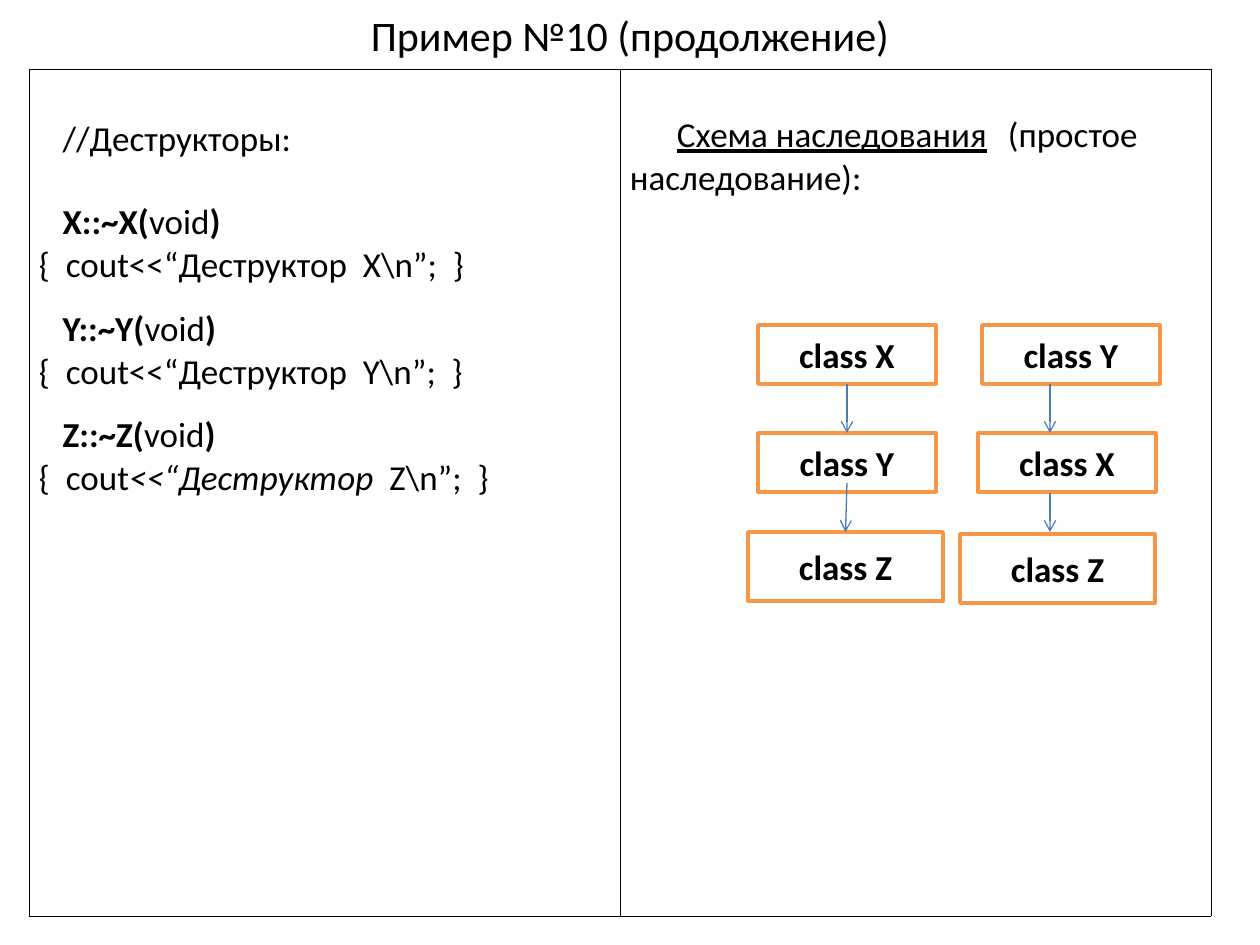
from lxml import etree
from pptx import Presentation
from pptx.dml.color import RGBColor
from pptx.enum.shapes import MSO_CONNECTOR, MSO_SHAPE
from pptx.enum.text import MSO_ANCHOR, PP_ALIGN
from pptx.oxml.ns import qn
from pptx.util import Pt

BLACK = RGBColor(0x00, 0x00, 0x00)
WHITE = RGBColor(0xFF, 0xFF, 0xFF)
ORANGE = RGBColor(0xF7, 0x96, 0x46)
BLUE = RGBColor(0x4A, 0x7E, 0xBB)
RECTANGLE = MSO_SHAPE.RECTANGLE
STRAIGHT = MSO_CONNECTOR.STRAIGHT
MIDDLE = MSO_ANCHOR.MIDDLE
CENTER, JUSTIFY, LEFT = PP_ALIGN.CENTER, PP_ALIGN.JUSTIFY, PP_ALIGN.LEFT
TOP_SIDE, BOTTOM_SIDE = 0, 2
EMU_PER_PX = 914400 / 126
BOLD, ITALIC, UNDERLINE = {"bold": True}, {"italic": True}, {"underline": True}


def px(length):
    return round(length * EMU_PER_PX)


def set_values(target, values):
    for name, value in values.items():
        setattr(target, name, value)


class SlideBuilder:
    font_name = "Calibri"
    text_size = 20
    title_size = 24

    def __init__(self, slide):
        self.slide = slide

    def fill_paragraph(self, paragraph, runs, size=text_size, **paragraph_format):
        """Fill a paragraph from (text, font values) pairs."""
        set_values(paragraph, paragraph_format)
        for text, font_values in runs:
            run = paragraph.add_run()
            run.text = text
            set_values(run.font, {"name": self.font_name, "size": Pt(size),
                                  "bold": False, **font_values})
            run.font.color.rgb = BLACK

    def title(self, text, left, top, width, height):
        shape = self.slide.shapes.title
        set_values(shape, {"left": px(left), "top": px(top),
                           "width": px(width), "height": px(height)})
        shape.text_frame.vertical_anchor = MIDDLE
        self.fill_paragraph(shape.text_frame.paragraphs[0], [(text, {})],
                            self.title_size, alignment=CENTER)

    def table(self, left, top, width, height, columns):
        """Add a one-row table and return its cells."""
        table = self.slide.shapes.add_table(
            1, columns, px(left), px(top), px(width), px(height)).table
        set_values(table, {"first_row": False, "horz_banding": False})
        cells = list(table.rows[0].cells)
        for cell in cells:
            self.cell_borders(cell)
            cell.fill.background()
            set_values(cell, {"margin_left": px(10), "margin_right": px(10)})
        return cells

    def cell_borders(self, cell):
        properties = cell._tc.get_or_add_tcPr()
        for side in ("a:lnL", "a:lnR", "a:lnT", "a:lnB"):
            line = etree.SubElement(properties, qn(side), w=str(Pt(0.45)))
            fill = etree.SubElement(line, qn("a:solidFill"))
            etree.SubElement(fill, qn("a:srgbClr"), val=str(BLACK))

    def code(self, cell, lines):
        """Put (space before in points, runs) lines into a cell."""
        frame = cell.text_frame
        for index, (space, runs) in enumerate(lines):
            paragraph = frame.add_paragraph() if index else frame.paragraphs[0]
            self.fill_paragraph(paragraph, runs, alignment=JUSTIFY,
                                space_before=Pt(space))

    def caption(self, cell, runs, indent, tab):
        paragraph = cell.text_frame.paragraphs[0]
        properties = paragraph._p.get_or_add_pPr()
        properties.set("marL", "0")
        properties.set("indent", str(px(indent)))
        tabs = etree.SubElement(properties, qn("a:tabLst"))
        etree.SubElement(tabs, qn("a:tab"), pos=str(px(tab)), algn="l")
        self.fill_paragraph(paragraph, runs, alignment=LEFT)

    def class_box(self, text, left, top, width, height):
        shape = self.slide.shapes.add_shape(
            RECTANGLE, px(left), px(top), px(width), px(height))
        shape.shadow.inherit = False
        shape.fill.solid()
        shape.fill.fore_color.rgb = WHITE
        shape.line.color.rgb = ORANGE
        shape.line.width = Pt(2)
        shape.text_frame.vertical_anchor = MIDDLE
        self.fill_paragraph(shape.text_frame.paragraphs[0], [(text, BOLD)],
                            alignment=CENTER)
        return shape

    def arrow(self, start, end, source=None, target=None):
        """Draw an arrow, joined to the boxes given as source and target."""
        connector = self.slide.shapes.add_connector(
            STRAIGHT, *(px(value) for value in start + end))
        if source is not None:
            connector.begin_connect(source, BOTTOM_SIDE)
        if target is not None:
            connector.end_connect(target, TOP_SIDE)
        connector.line.color.rgb = BLUE
        connector.line.width = Pt(0.75)
        etree.SubElement(connector.line._get_or_add_ln(), qn("a:tailEnd"), type="arrow")
        etree.SubElement(connector._element.spPr, qn("a:effectLst"))


def destructor(name, space, body):
    return [(space, [(f"   {name}::~{name}(", BOLD), ("void", {}), (")", BOLD)]),
            (0, body)]


def main():
    presentation = Presentation()
    set_values(presentation, {"slide_width": px(1260), "slide_height": px(945)})
    slide = presentation.slides.add_slide(presentation.slide_layouts[5])
    builder = SlideBuilder(slide)

    builder.title("Пример №10 (продолжение)", 0, 0, 1260, 69)
    code_cell, scheme_cell = builder.table(29, 69, 1182, 847, 2)
    code_cell.margin_top = px(49)
    scheme_cell.margin_top = px(45)

    lines = [(0, [("   //Деструкторы:", {})])]
    for name, space in (("X", 23), ("Y", 12)):
        lines += destructor(name, space, [(f"{{  cout<<“Деструктор  {name}\\n”;  }}", {})])
    lines += destructor("Z", 12, [("{  cout", {}), ("<<“Деструктор  ", ITALIC),
                                  ("Z\\n”;  }", {})])
    builder.code(code_cell, lines)
    builder.caption(scheme_cell, [("Схема наследования\t", UNDERLINE),
                                  ("(простое наследование):", {})], 47, 483)

    boxes = [builder.class_box(f"class {name}", *place) for name, *place in (
        ("X", 758, 325, 178, 59), ("Y", 758, 433, 178, 59), ("Z", 748, 532, 195, 69),
        ("Y", 982, 325, 178, 59), ("X", 978, 433, 178, 59), ("Z", 960, 534, 195, 69))]
    left_x, left_y, left_z = boxes[:3]
    builder.arrow((847, 384), (847, 433), left_x, left_y)
    builder.arrow((847, 483), (845, 532), target=left_z)
    for top, bottom in ((384, 433), (493, 532)):
        builder.arrow((1050, top), (1050, bottom))

    presentation.save("out.pptx")


if __name__ == "__main__":
    main()
